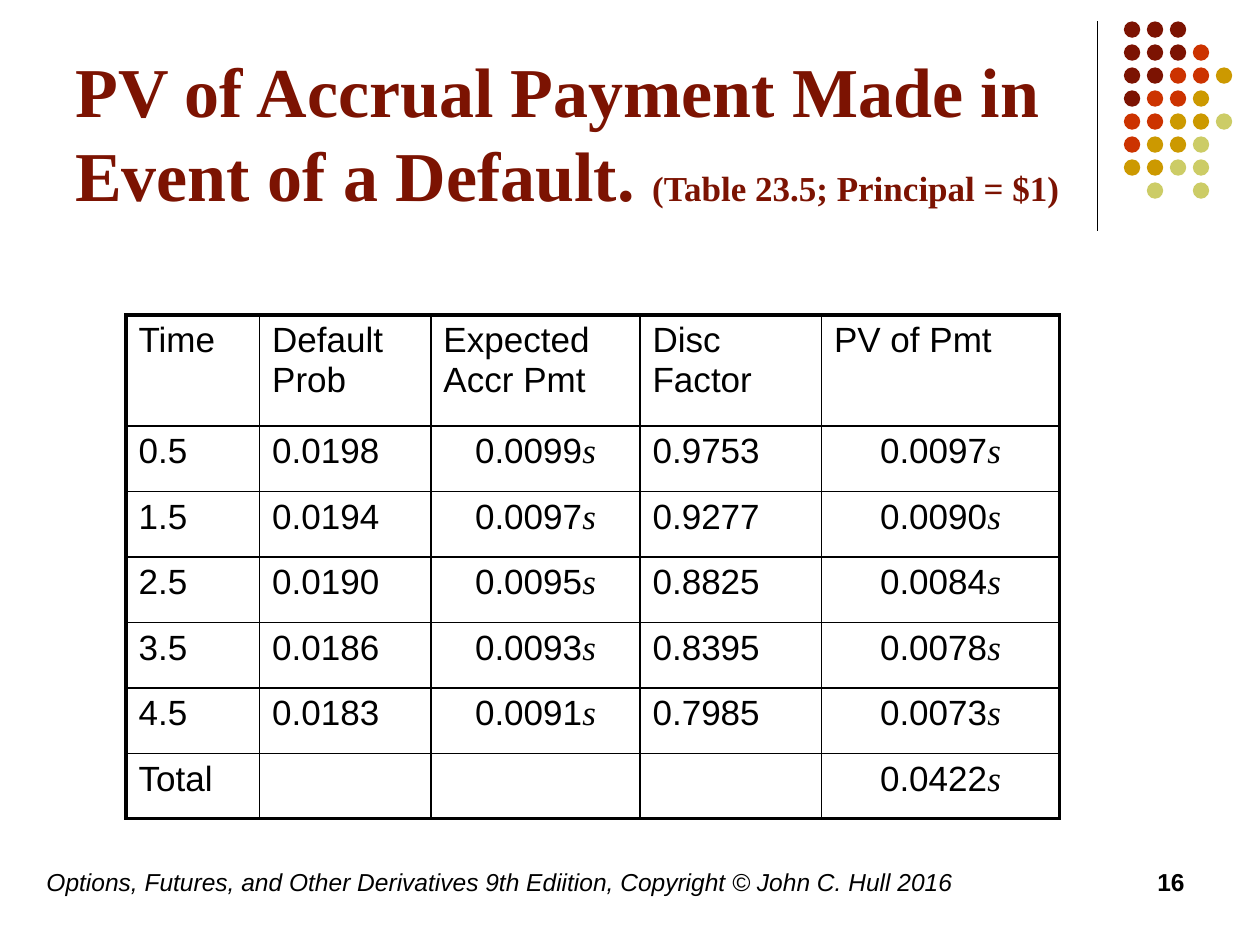
from lxml.etree import SubElement
from pptx import Presentation
from pptx.dml.color import RGBColor
from pptx.enum.shapes import MSO_CONNECTOR, MSO_SHAPE
from pptx.enum.text import MSO_ANCHOR, PP_ALIGN
from pptx.oxml import parse_xml
from pptx.oxml.ns import nsdecls, qn
from pptx.util import Inches, Pt

COLORS = {"black": "000000", "M": "7C1302", "R": "CC3300", "G": "CC9900", "Y": "CCCC66"}
SANS, SERIF = "Arial", "Times New Roman"


def style(font, size, name=SANS, color="black", bold=False, italic=False):
    font.size = Pt(size)
    font.name = name
    font.bold = bold
    font.italic = italic
    font.color.rgb = RGBColor.from_string(COLORS[color])


def add_box(left, top, width, height):
    box = slide.shapes.add_textbox(Inches(left), Inches(top), Inches(width), Inches(height))
    box.text_frame.word_wrap = True
    return box.text_frame


deck = Presentation()
deck.slide_width, deck.slide_height = Inches(10), Inches(7.5)
slide = deck.slides.add_slide(deck.slide_layouts[6])

rule = slide.shapes.add_connector(
    MSO_CONNECTOR.STRAIGHT, Inches(8.71), Inches(0.17), Inches(8.71), Inches(1.83))
rule.line.width = Pt(0.75)
rule.line.color.rgb = RGBColor.from_string(COLORS["black"])
SubElement(rule._element.spPr, qn("a:effectLst"))

dots = ["MMM", "MMMR", "MMRRG", "MRRG", "RRGGY", "RGGY", "GGYY", " Y Y"]
pitch = Inches(0.73) / 4
group = slide.shapes.add_group_shape()
for row, line in enumerate(dots):
    for col, key in enumerate(line):
        if key == " ":
            continue
        dot = group.shapes.add_shape(
            MSO_SHAPE.OVAL, int(Inches(8.92) + col * pitch), int(Inches(0.17) + row * pitch),
            Inches(0.13), Inches(0.13))
        dot.shadow.inherit = False
        dot.fill.solid()
        dot.fill.fore_color.rgb = RGBColor.from_string(COLORS[key])
        dot.line.fill.background()

title = add_box(0.5, 0.58, 8.67, 1.18)
title.vertical_anchor = MSO_ANCHOR.BOTTOM
for text, size in [("PV of Accrual Payment Made in Event of a Default. ", 40),
                   ("(Table 23.5; Principal = $1)", 20)]:
    run = title.paragraphs[0].add_run()
    run.text = text
    style(run.font, size, SERIF, "M", bold=True)

footer = add_box(0.27, 6.83, 8.55, 0.5).paragraphs[0]
footer.text = "Options, Futures, and Other Derivatives 9th Ediition, Copyright © John C. Hull 2016"
style(footer.font, 14, italic=True)

number = add_box(7.17, 6.83, 2.33, 0.5).paragraphs[0]
number.text = "16"
number.alignment = PP_ALIGN.RIGHT
style(number.font, 14, bold=True)

data = [
    ["Time", "Default Prob", "Expected Accr Pmt", "Disc Factor", "PV of Pmt"],
    ["0.5", "0.0198", "0.0099s", "0.9753", "0.0097s"],
    ["1.5", "0.0194", "0.0097s", "0.9277", "0.0090s"],
    ["2.5", "0.0190", "0.0095s", "0.8825", "0.0084s"],
    ["3.5", "0.0186", "0.0093s", "0.8395", "0.0078s"],
    ["4.5", "0.0183", "0.0091s", "0.7985", "0.0073s"],
    ["Total", "", "", "", "0.0422s"],
]
widths = [1.06, 1.36, 1.66, 1.44, 1.89]
heights = [0.88] + [0.52] * 6
table = slide.shapes.add_table(
    len(heights), len(widths), Inches(1), Inches(2.5), Inches(7.41), Inches(4)).table
table.first_row = table.horz_banding = False
for column, width in zip(table.columns, widths):
    column.width = Inches(width)
for row, height in zip(table.rows, heights):
    row.height = Inches(height)

for r, values in enumerate(data):
    for c, value in enumerate(values):
        cell = table.cell(r, c)
        cell.fill.background()
        para = cell.text_frame.paragraphs[0]
        if r and value.endswith("s"):
            para.alignment = PP_ALIGN.CENTER
            for text, name in [(value[:-1], SANS), ("s", SERIF)]:
                run = para.add_run()
                run.text = text
                style(run.font, 20, name, italic=name == SERIF)
        else:
            para.text = value
            style(para.font, 20)
        edges = {"L": c == 0, "R": c == len(widths) - 1,
                 "T": r == 0, "B": r == len(heights) - 1}
        props = cell._tc.get_or_add_tcPr()
        for i, (side, outer) in enumerate(edges.items()):
            props.insert(i, parse_xml(
                f'<a:ln{side} {nsdecls("a")} w="{Pt(2.25 if outer else 1)}"><a:solidFill>'
                f'<a:srgbClr val="{COLORS["black"]}"/></a:solidFill></a:ln{side}>'))

deck.save("out.pptx")
